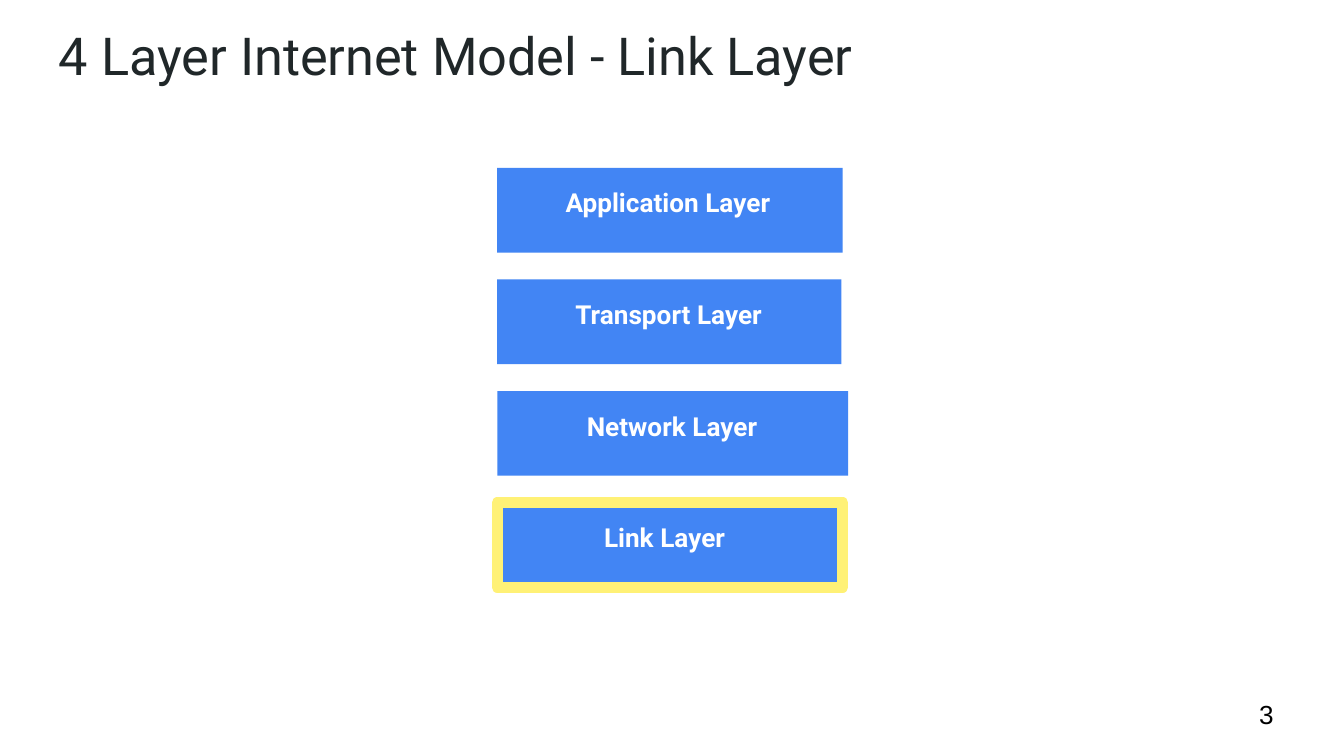
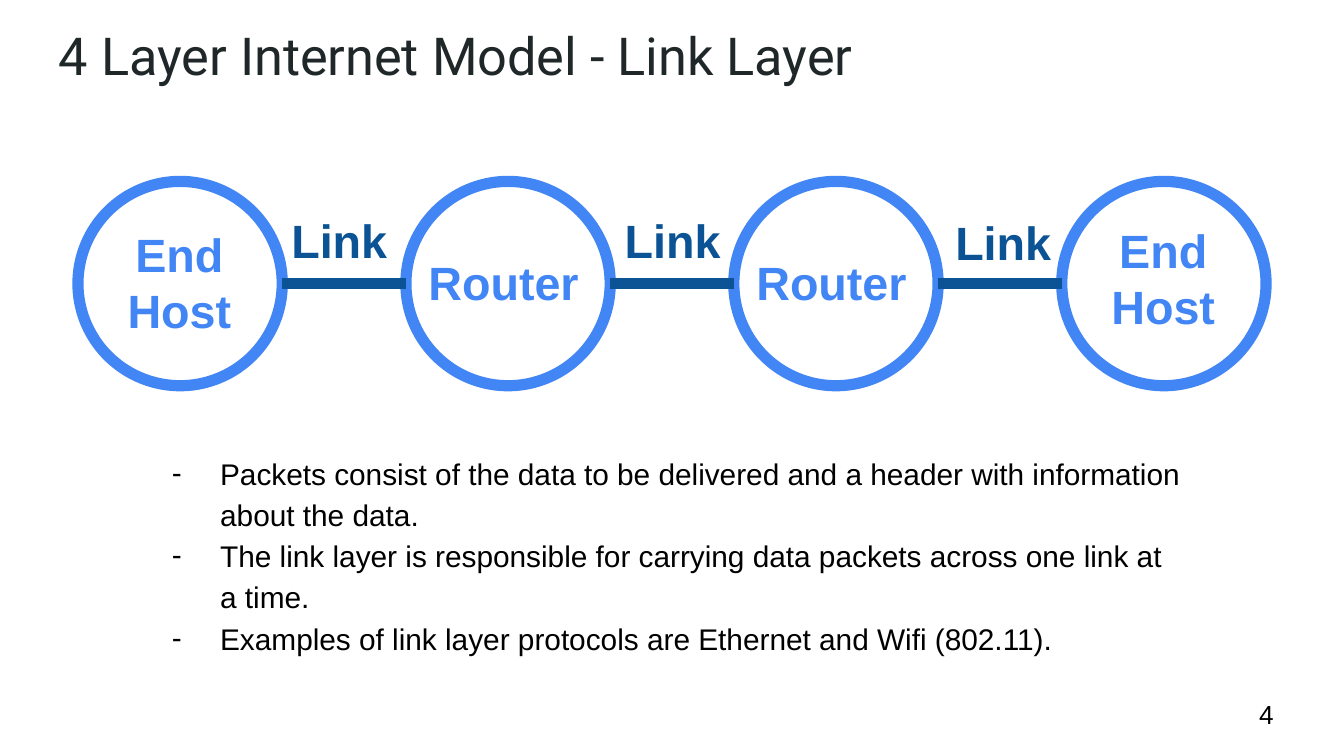
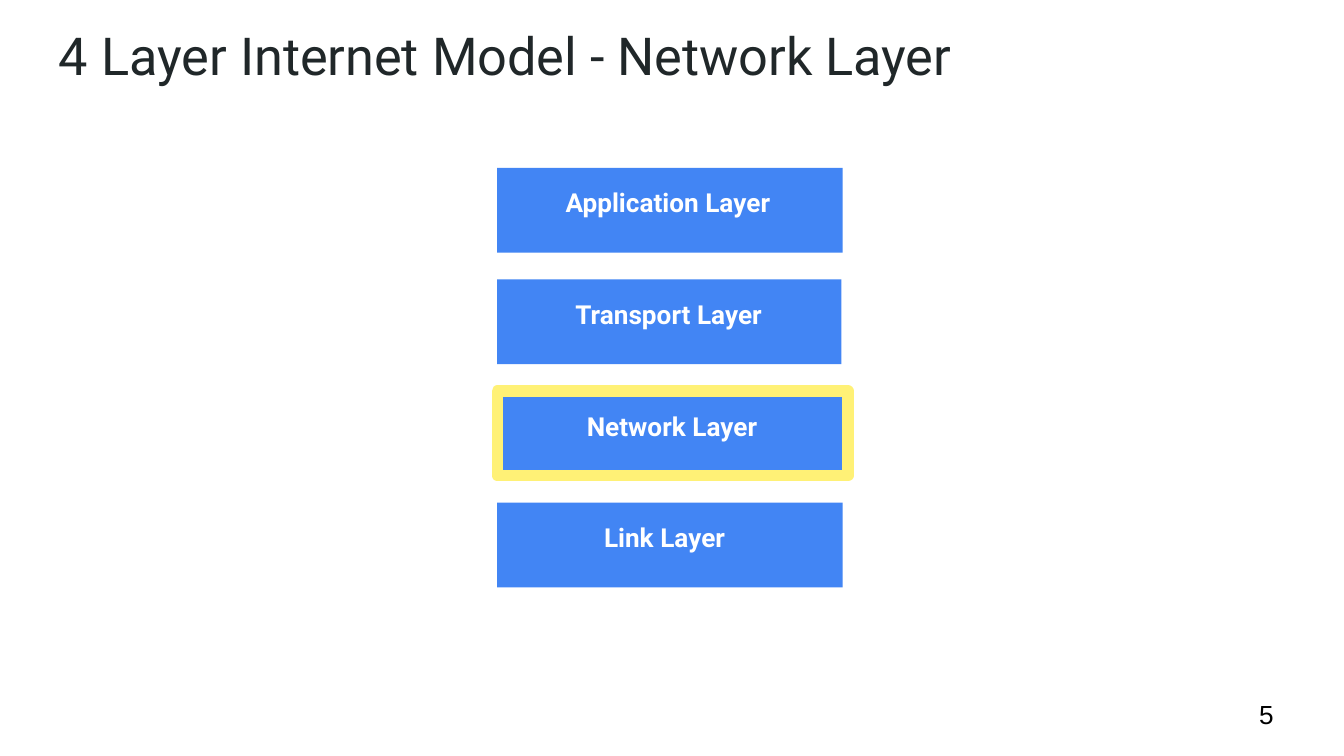
from dataclasses import dataclass

from lxml import etree
from pptx import Presentation
from pptx import util as u
from pptx.dml.color import RGBColor
from pptx.enum import shapes, text
from pptx.oxml import ns

COLORS = {
    "title": "202729",
    "blue": "4285F4",
    "link": "0B5394",
    "highlight": "FFF176",
    "white": "FFFFFF",
    "black": "000000",
}
THICK = u.Pt(6)
LEFT = text.PP_ALIGN.LEFT
CENTER = text.PP_ALIGN.CENTER
TOP = text.MSO_ANCHOR.TOP
MIDDLE = text.MSO_ANCHOR.MIDDLE
BOTTOM = text.MSO_ANCHOR.BOTTOM


@dataclass(frozen=True)
class Layer:
    name: str
    width: float
    label_left: float
    label_width: float


@dataclass(frozen=True)
class Node:
    name: str
    label_top: float
    label_height: float
    align: text.PP_ALIGN


@dataclass(frozen=True)
class Link:
    label_left: float
    anchor: text.MSO_ANCHOR = TOP


LAYERS = [
    Layer("Application", 2.57, 3.79, 2.36),
    Layer("Transport", 2.56, 3.9, 2.15),
    Layer("Network", 2.61, 3.91, 2.18),
    Layer("Link", 2.57, 3.83, 2.23),
]
LAYER_LEFT, LAYER_TOP, LAYER_STEP, LAYER_HEIGHT = 3.7, 1.25, 0.83, 0.63

NODES = [
    Node("End Host", 1.58, 1.06, CENTER),
    Node("Router", 1.79, 0.63, LEFT),
    Node("Router", 1.79, 0.63, LEFT),
    Node("End Host", 1.55, 1.06, CENTER),
]
LINKS = [Link(2.07), Link(4.55), Link(7.01, BOTTOM)]
NODE_LEFT, NODE_TOP, NODE_STEP, NODE_SIZE = 0.58, 1.35, 2.44, 1.52

LINK_FACTS = [
    "Packets consist of the data to be delivered and a header with information about the data.",
    "The link layer is responsible for carrying data packets across one link at a time.",
    "Examples of link layer protocols are Ethernet and Wifi (802.11).",
]


def color(name: str) -> RGBColor:
    return RGBColor.from_string(COLORS[name])


def add_dash(para, size: float, font: str) -> None:
    """Give the paragraph a hanging dash bullet."""
    props = para._p.get_or_add_pPr()
    props.set("marL", str(u.Inches(0.5)))
    props.set("indent", str(u.Inches(-0.36)))
    etree.SubElement(props, ns.qn("a:buSzPts")).set("val", str(size * 100))
    etree.SubElement(props, ns.qn("a:buFont")).set("typeface", font)
    etree.SubElement(props, ns.qn("a:buChar")).set("char", "-")


def add_text(page, lines, left, top, width, height, *, size, fill, font="Arial",
             bold=False, align=LEFT, anchor=TOP, dashes=False, spacing=None):
    """Add a text box holding one string, or a list with one paragraph per item."""
    box = page.shapes.add_textbox(*map(u.Inches, (left, top, width, height)))
    frame = box.text_frame
    frame.word_wrap = True
    frame.vertical_anchor = anchor
    frame.margin_left = frame.margin_right = u.Inches(0.1)
    frame.margin_top = frame.margin_bottom = u.Inches(0.1)
    for index, line in enumerate([lines] if isinstance(lines, str) else lines):
        para = frame.add_paragraph() if index else frame.paragraphs[0]
        para.alignment = align
        para.line_spacing = spacing
        if dashes:
            add_dash(para, size, font)
        span = para.add_run()
        span.text = line
        span.font.name = font
        span.font.size = u.Pt(size)
        span.font.bold = bold
        span.font.color.rgb = color(fill)
    return box


def add_page(deck, layer_name: str, number: int):
    """Add a blank page with the shared title and page number."""
    page = deck.slides.add_slide(deck.slide_layouts[6])
    add_text(page, f"4 Layer Internet Model - {layer_name} Layer",
             0.34, 0.07, 9.32, 0.63, size=28, fill="title", font="Roboto")
    add_text(page, str(number), 9.27, 5.1, 0.6, 0.43,
             size=14, fill="black", anchor=MIDDLE)
    return page


def add_layer_stack(page, highlighted: str) -> None:
    for row, layer in enumerate(LAYERS):
        top = LAYER_TOP + row * LAYER_STEP
        bar = page.shapes.add_shape(
            shapes.MSO_SHAPE.SNIP_1_RECTANGLE, u.Inches(LAYER_LEFT), u.Inches(top),
            u.Inches(layer.width), u.Inches(LAYER_HEIGHT))
        bar.adjustments[0] = 0
        bar.shadow.inherit = False
        bar.fill.solid()
        bar.fill.fore_color.rgb = color("blue")
        if layer.name == highlighted:
            bar.line.color.rgb = color("highlight")
            bar.line.width = THICK
            etree.SubElement(bar.line._get_or_add_ln(), ns.qn("a:round"))
        else:
            bar.line.fill.background()
        add_text(page, f"{layer.name} Layer", layer.label_left, top + 0.04,
                 layer.label_width, 0.52, size=14, fill="white", font="Roboto",
                 bold=True, align=CENTER)


def add_node(page, node: Node, left: float) -> None:
    ring = page.shapes.add_shape(
        shapes.MSO_SHAPE.OVAL, u.Inches(left), u.Inches(NODE_TOP),
        u.Inches(NODE_SIZE), u.Inches(NODE_SIZE))
    ring.shadow.inherit = False
    ring.fill.background()
    ring.line.color.rgb = color("blue")
    ring.line.width = THICK
    add_text(page, node.name, left + 0.07, node.label_top, 1.37, node.label_height,
             size=25, fill="blue", bold=True, align=node.align)


def add_link(page, link: Link, start: float, end: float) -> None:
    middle = u.Inches(NODE_TOP + NODE_SIZE / 2)
    wire = page.shapes.add_connector(
        shapes.MSO_CONNECTOR.STRAIGHT, u.Inches(start), middle, u.Inches(end), middle)
    wire.line.color.rgb = color("link")
    wire.line.width = THICK
    etree.SubElement(wire._element.spPr, ns.qn("a:effectLst"))
    add_text(page, "Link", link.label_left, 1.48, 0.93, 0.63,
             size=25, fill="link", bold=True, anchor=link.anchor)


def add_network(page) -> None:
    lefts = [NODE_LEFT + column * NODE_STEP for column in range(len(NODES))]
    for node, left in zip(NODES, lefts):
        add_node(page, node, left)
    for link, left, next_left in zip(LINKS, lefts, lefts[1:]):
        add_link(page, link, left + NODE_SIZE, next_left)


def main() -> None:
    deck = Presentation()
    deck.slide_width = u.Inches(10)
    deck.slide_height = u.Inches(10) * 9 // 16

    add_layer_stack(add_page(deck, "Link", 3), "Link")

    page = add_page(deck, "Link", 4)
    add_network(page)
    add_text(page, LINK_FACTS, 1.04, 3.25, 7.87, 1.76,
             size=16, fill="black", dashes=True, spacing=1.15)

    add_layer_stack(add_page(deck, "Network", 5), "Network")
    deck.save("out.pptx")


if __name__ == "__main__":
    main()
